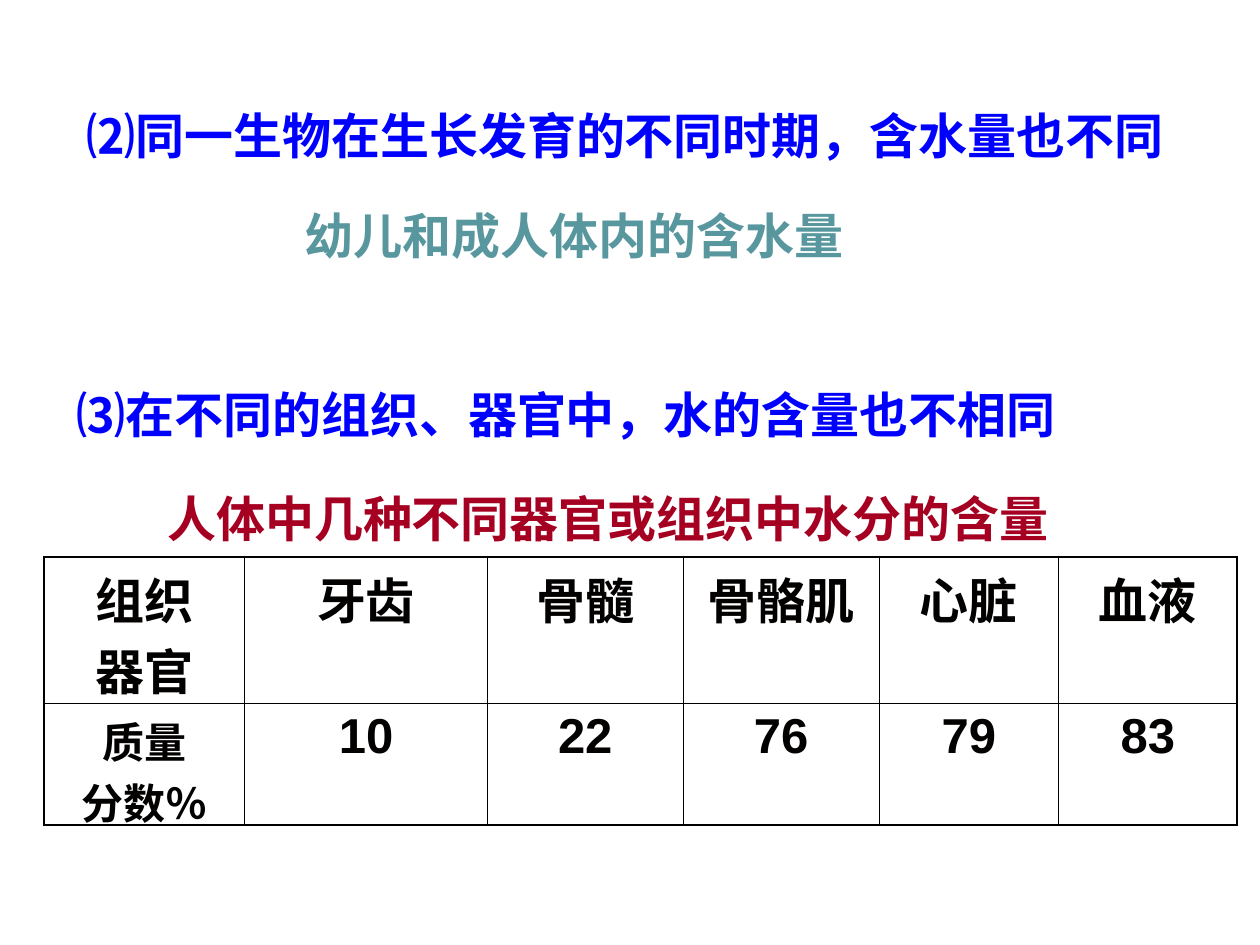
from lxml.etree import SubElement
from pptx import Presentation
from pptx.dml.color import RGBColor
from pptx.enum.text import MSO_AUTO_SIZE as AutoSize, PP_ALIGN as Align
from pptx.oxml.ns import qn
from pptx.util import Inches, Pt

HEADINGS = [
    ("⑵同一生物在生长发育的不同时期，含水量也不同", (0.59, 0.79, 8.92), "point", "sans", True),
    ("幼儿和成人体内的含水量", (2.32, 1.58, 4.75), "example", "sans", True),
    ("⑶在不同的组织、器官中，水的含量也不相同", (0.51, 3, 8.75), "point", "sans", True),
    ("人体中几种不同器官或组织中水分的含量", (1.23, 3.83, 7.19), "caption", "serif", False),
]
WATER_CONTENT = [
    ("组织\n器官", "牙齿", "骨髓", "骨骼肌", "心脏", "血液"),
    ("质量\n分数％", "10", "22", "76", "79", "83"),
]
TABLE_LEFT, TABLE_TOP = 0.35, 4.42
COLUMN_WIDTHS = [1.59, 1.93, 1.55, 1.56, 1.42, 1.42]
ROW_HEIGHTS = [1.16, 0.97]
HEADING_HEIGHT = 0.57

THEME = {
    "point": "0000FF",
    "example": "59979F",
    "caption": "A50021",
    "cell": "020100",
    "border": "000000",
    "sans": "Arial",
    "serif": "Times New Roman",
    "size": 28,
    "unit_size": 24,
    "outer_line": 1.08,
    "inner_line": 0.45,
}


def format_text(paragraph, color, font="sans", size="size"):
    values = {"name": THEME[font], "size": Pt(THEME[size]), "bold": True}
    for run in paragraph.runs:
        for name, value in values.items():
            setattr(run.font, name, value)
        run.font.color.rgb = RGBColor.from_string(THEME[color])


def add_heading(slide, text, place, color, font, wrap):
    left, top, width = map(Inches, place)
    box = slide.shapes.add_textbox(left, top, width, Inches(HEADING_HEIGHT))
    frame = box.text_frame
    frame.word_wrap = wrap
    frame.auto_size = AutoSize.SHAPE_TO_FIT_TEXT
    paragraph = frame.paragraphs[0]
    paragraph.text = text
    format_text(paragraph, color, font)


def set_borders(cell, outer_sides):
    properties = cell._tc.get_or_add_tcPr()
    for side in "LRTB":
        width = THEME["outer_line" if side in outer_sides else "inner_line"]
        line = SubElement(properties, qn(f"a:ln{side}"), w=str(Pt(width)))
        fill = SubElement(line, qn("a:solidFill"))
        SubElement(fill, qn("a:srgbClr"), val=THEME["border"])


def add_table(slide):
    row_count, column_count = len(ROW_HEIGHTS), len(COLUMN_WIDTHS)
    table = slide.shapes.add_table(
        row_count, column_count, Inches(TABLE_LEFT), Inches(TABLE_TOP),
        Inches(sum(COLUMN_WIDTHS)), Inches(sum(ROW_HEIGHTS)),
    ).table
    table.first_row = table.horz_banding = False
    for column, width in zip(table.columns, COLUMN_WIDTHS):
        column.width = Inches(width)
    for row, height in zip(table.rows, ROW_HEIGHTS):
        row.height = Inches(height)
    for r, texts in enumerate(WATER_CONTENT):
        for c, text in enumerate(texts):
            cell = table.cell(r, c)
            edges = {"L": c == 0, "R": c == column_count - 1,
                     "T": r == 0, "B": r == row_count - 1}
            set_borders(cell, [side for side, outer in edges.items() if outer])
            cell.fill.background()
            paragraph = cell.text_frame.paragraphs[0]
            paragraph.text = text
            paragraph.alignment = Align.CENTER
            format_text(paragraph, "cell", size="unit_size" if r and not c else "size")


def main():
    presentation = Presentation()
    presentation.slide_width, presentation.slide_height = Inches(10), Inches(7.5)
    slide = presentation.slides.add_slide(presentation.slide_layouts[6])
    for heading in HEADINGS:
        add_heading(slide, *heading)
    add_table(slide)
    presentation.save("out.pptx")


if __name__ == "__main__":
    main()
